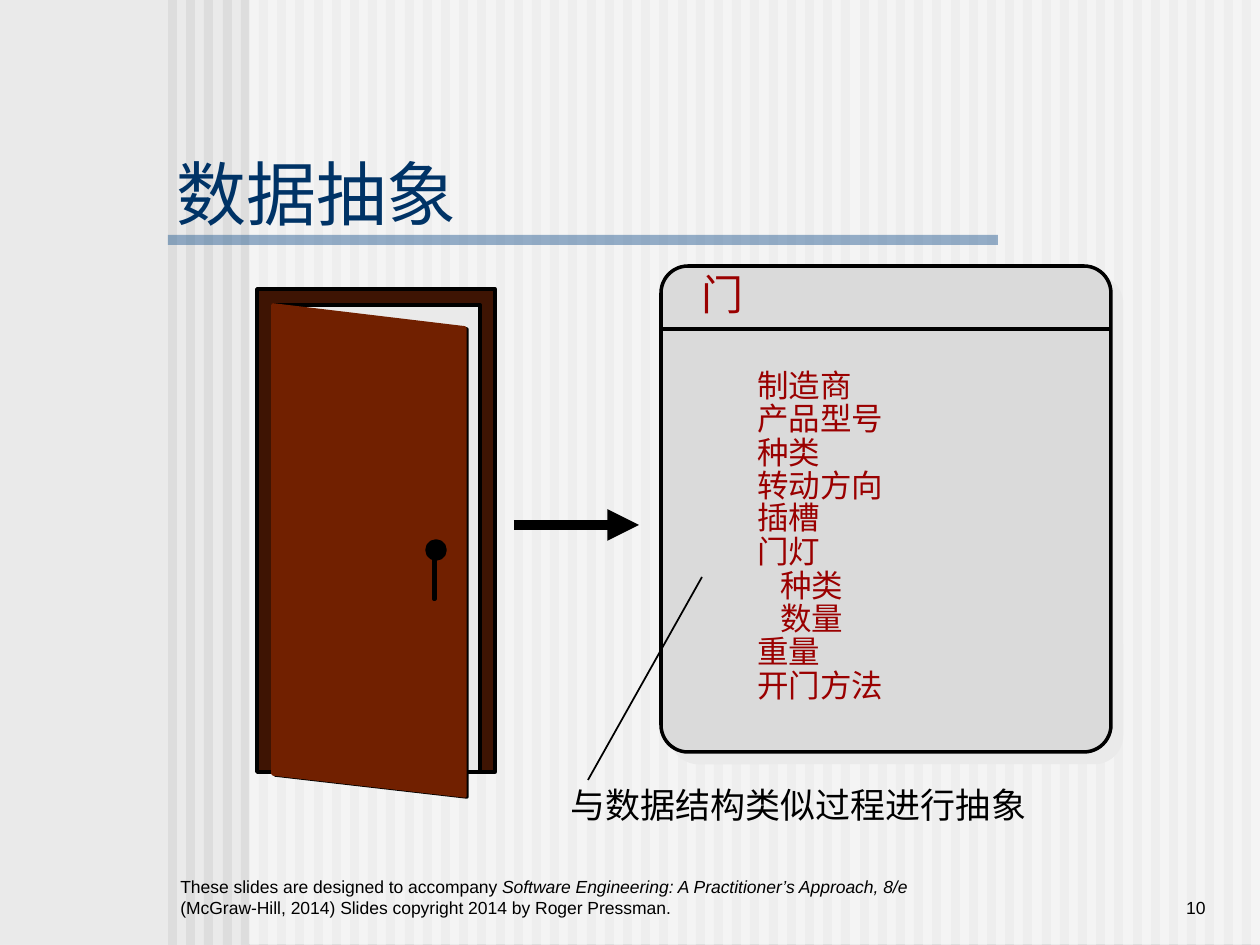
from dataclasses import dataclass
from typing import Optional

from lxml.etree import SubElement
from pptx import Presentation
from pptx.dml.color import RGBColor
from pptx.enum.shapes import MSO_CONNECTOR, MSO_SHAPE
from pptx.enum.text import MSO_ANCHOR, MSO_AUTO_SIZE, PP_ALIGN
from pptx.oxml.ns import qn
from pptx.util import Pt

SCALE = 914400 / 126  # EMU per px
WIDTH, HEIGHT = 1260, 945
FONT = "Arial"
BLACK, RED, NAVY, PALE = "000000", "9A0000", "003366", "EAEAEA"
STRIPE_COUNT, STRIPE_LEFT, STRIPE_PITCH = 60, 168, 18.2
ENTRY_LEFT, ENTRY_TOP, ENTRY_PITCH = 745, 360, 33.3


@dataclass
class Box:
    left: int
    top: int
    width: int
    height: int

    def emu(self) -> tuple:
        return tuple(px(n) for n in (self.left, self.top, self.width, self.height))


@dataclass
class Span:
    text: str
    italic: bool = False


@dataclass
class Entry:
    """One attribute of the door; drop moves it below its regular row."""
    text: str
    width: int
    indent: int = 0
    drop: int = 0
    spacing: Optional[float] = None


ENTRIES = [
    Entry("制造商", 120),
    Entry("产品型号", 151),
    Entry("种类", 88),
    Entry("转动方向", 151),
    Entry("插槽", 88, drop=3, spacing=0.9),
    Entry("门灯", 88),
    Entry("种类", 88, indent=23),
    Entry("数量", 88, indent=23),
    Entry("重量", 88),
    Entry("开门方法", 151),
]


def px(length: float) -> int:
    return round(length * SCALE)


def color(value: str) -> RGBColor:
    return RGBColor.from_string(value)


def paint(shape, fill: Optional[str] = None, line: Optional[str] = None,
          line_width: float = 2, alpha: int = 100) -> None:
    shape.shadow.inherit = False
    if fill:
        shape.fill.solid()
        shape.fill.fore_color.rgb = color(fill)
        if alpha < 100:
            tint = shape.fill._xPr.find(qn("a:solidFill"))[0]
            SubElement(tint, qn("a:alpha"), val=str(alpha * 1000))
    else:
        shape.fill.background()
    if line:
        shape.line.color.rgb = color(line)
        shape.line.width = Pt(line_width)
    else:
        shape.line.fill.background()


def add_preset(page, kind, box: Box, **style):
    shape = page.shapes.add_shape(kind, *box.emu())
    paint(shape, **style)
    return shape


def add_polygon(page, points: list, **style) -> None:
    builder = page.shapes.build_freeform(*points[0], scale=SCALE)
    builder.add_line_segments(points[1:], close=True)
    paint(builder.convert_to_shape(), **style)


def add_line(page, start: tuple, end: tuple, width: float, arrow: bool = False) -> None:
    line = page.shapes.add_connector(
        MSO_CONNECTOR.STRAIGHT, *(px(n) for n in start + end))
    line.line.color.rgb = color(BLACK)
    line.line.width = Pt(width)
    if arrow:
        SubElement(line.line._get_or_add_ln(), qn("a:tailEnd"), type="triangle")
    SubElement(line._element.spPr, qn("a:effectLst"))


def write(shape, spans: list, size: int, ink: str, align=PP_ALIGN.LEFT,
          spacing: Optional[float] = None) -> None:
    para = shape.text_frame.paragraphs[0]
    para.alignment = align
    if spacing:
        para.line_spacing = spacing
    for span in spans:
        run = para.add_run()
        run.text = span.text
        run.font.name = FONT
        run.font.size = Pt(size)
        run.font.italic = span.italic
        run.font.color.rgb = color(ink)


def add_label(page, text: str, box: Box, size: int, ink: str,
              spacing: Optional[float] = None) -> None:
    label = page.shapes.add_textbox(*box.emu())
    label.text_frame.word_wrap = False
    label.text_frame.auto_size = MSO_AUTO_SIZE.SHAPE_TO_FIT_TEXT
    write(label, [Span(text)], size, ink, spacing=spacing)


def add_footer(page, spans: list, box: Box, align=PP_ALIGN.LEFT) -> None:
    footer = page.shapes.add_textbox(*box.emu())
    footer.text_frame.word_wrap = True
    footer.text_frame.vertical_anchor = MSO_ANCHOR.BOTTOM
    write(footer, spans, 10, BLACK, align)


def draw_backdrop(page) -> None:
    page.background.fill.solid()
    page.background.fill.fore_color.rgb = color(PALE)
    for index in range(STRIPE_COUNT):
        left = round(STRIPE_LEFT + index * STRIPE_PITCH)
        add_preset(page, MSO_SHAPE.RECTANGLE, Box(left, 0, 9, HEIGHT), fill="DDDDDD")
    add_preset(page, MSO_SHAPE.RECTANGLE, Box(249, 0, 1011, 944), fill="FFFFFF", alpha=50)
    add_preset(page, MSO_SHAPE.RECTANGLE, Box(168, 235, 830, 10), fill="336699", alpha=50)


def draw_title(page) -> None:
    title = page.shapes.title
    page.shapes._spTree.append(title._element)  # in front of the stripes
    title.left, title.top, title.width, title.height = Box(168, 147, 300, 92).emu()
    frame = title.text_frame
    frame.margin_left = frame.margin_right = px(9)
    frame.margin_top = frame.margin_bottom = px(4)
    frame.vertical_anchor = MSO_ANCHOR.MIDDLE
    frame.word_wrap = False
    frame.auto_size = MSO_AUTO_SIZE.SHAPE_TO_FIT_TEXT
    write(title, [Span("数据抽象")], 40, NAVY)


def draw_card(page) -> None:
    card = add_preset(page, MSO_SHAPE.ROUNDED_RECTANGLE, Box(661, 266, 450, 486),
                      fill="DADADA", line=BLACK)
    card.adjustments[0] = 0.06
    effects = card._element.spPr.find(qn("a:effectLst"))
    shadow = SubElement(effects, qn("a:outerShdw"), dist=str(Pt(8.5)),
                        dir="2700000", algn="ctr", rotWithShape="0")
    SubElement(shadow, qn("a:srgbClr"), val=PALE)
    add_line(page, (661, 329), (1110, 329), 2)
    add_label(page, "门", Box(689, 262, 67, 63), 24, RED)
    add_line(page, (702, 577), (588, 780), 1)
    add_label(page, "与数据结构类似过程进行抽象", Box(558, 777, 481, 54), 20, BLACK)
    for row, entry in enumerate(ENTRIES):
        top = round(ENTRY_TOP + row * ENTRY_PITCH) + entry.drop
        box = Box(ENTRY_LEFT + entry.indent, top, entry.width, 50)
        add_label(page, entry.text, box, 18, RED, entry.spacing)


def draw_door(page) -> None:
    add_preset(page, MSO_SHAPE.RECTANGLE, Box(257, 289, 238, 483), fill="3E1403", line=BLACK)
    add_preset(page, MSO_SHAPE.RECTANGLE, Box(273, 305, 207, 467), fill=PALE, line=BLACK)
    leaf = [(273, 305), (465, 328), (465, 796), (273, 774)]
    add_polygon(page, [(x + 2, y + 1) for x, y in leaf], line=BLACK)
    add_polygon(page, leaf, fill="712000", line="712000")
    add_preset(page, MSO_SHAPE.OVAL, Box(427, 541, 18, 18), fill=BLACK, line=BLACK)
    add_preset(page, MSO_SHAPE.RECTANGLE, Box(434, 557, 1, 42), fill=BLACK, line=BLACK)


def main() -> None:
    deck = Presentation()
    deck.slide_width, deck.slide_height = px(WIDTH), px(HEIGHT)
    page = deck.slides.add_slide(deck.slide_layouts[5])
    draw_backdrop(page)
    add_footer(page, [
        Span("These slides are designed to accompany "),
        Span("Software Engineering: A Practitioner’s Approach, 8/e ", italic=True),
        Span("(McGraw-Hill, 2014) Slides copyright 2014 by Roger Pressman."),
    ], Box(168, 861, 756, 63))
    add_footer(page, [Span("10")], Box(1040, 861, 178, 63), PP_ALIGN.RIGHT)
    draw_title(page)
    draw_card(page)
    draw_door(page)
    add_line(page, (514, 525), (639, 525), 6, arrow=True)
    deck.save("out.pptx")


if __name__ == "__main__":
    main()
